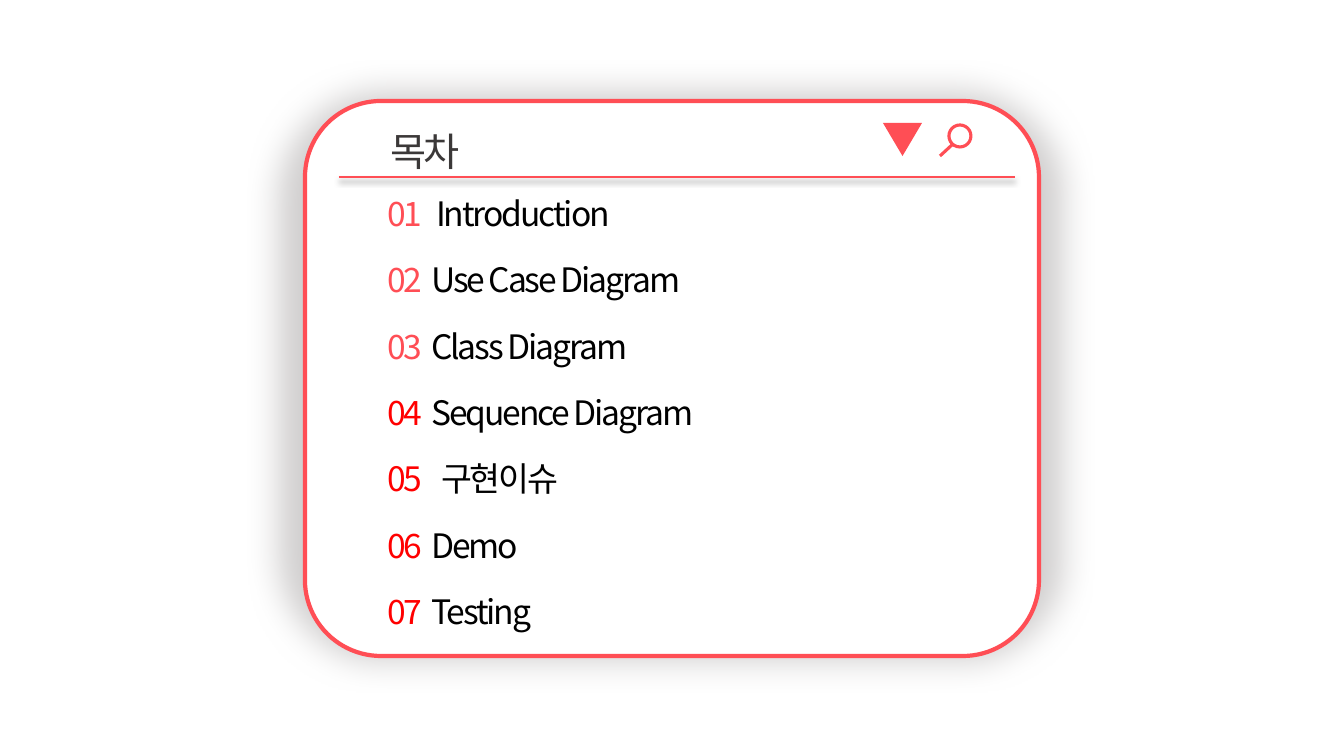
"""Build the contents slide: a soft-edged card with seven numbered sections."""
from lxml import etree
from pptx import Presentation, util as u
from pptx.dml.color import RGBColor
from pptx.enum import shapes, text
from pptx.oxml import parse_xml
from pptx.oxml.ns import qn

PX = 914400 / 100.8
THEME = dict(font="Noto Sans CJK KR", title_size=28, item_size=24, tracking=-150,
             coral="FF4E55", red="FF0000", ink="000000", heading="3B3838",
             paper="FFFFFF", halo="D0CECE")
SECTIONS = [("Introduction", "coral", 49), ("Use Case Diagram", "coral", 44),
            ("Class Diagram", "coral", 44), ("Sequence Diagram", "red", 44),
            ("구현이슈", "red", 54), ("Demo", "red", 44), ("Testing", "red", 44)]
NS = 'xmlns:a="http://schemas.openxmlformats.org/drawingml/2006/main"'
RULE_SHADOW = (f'<a:effectLst {NS}><a:outerShdw blurRad="50800" dist="38100" dir="5400000">'
               '<a:srgbClr val="000000"><a:alpha val="40000"/></a:srgbClr>'
               '</a:outerShdw></a:effectLst>')
NO_EFFECT = f'<a:effectLst {NS}/>'
SOFT_EDGE = f'<a:effectLst {NS}><a:softEdge rad="317500"/></a:effectLst>'


def px(*lengths):
    return [round(length * PX) for length in lengths]


def write(paragraph, words, *, size, color):
    run = paragraph.add_run()
    run.text = words
    run.font.size = u.Pt(size)
    run.font.name = THEME["font"]
    run.font.bold = False
    run.font.color.rgb = RGBColor.from_string(THEME[color])
    properties = run.font._element
    properties.set("spc", str(THEME["tracking"]))
    etree.SubElement(properties, qn("a:ea")).set("typeface", THEME["font"])


deck = Presentation()
deck.slide_width, deck.slide_height = px(1344, 756)
slide = deck.slides.add_slide(deck.slide_layouts[5])

panels = []
for preset, box, fill, weight in [
        (shapes.MSO_SHAPE.ROUNDED_RECTANGLE, (246, 59, 850, 635), "halo", 1),
        (shapes.MSO_SHAPE.ROUNDED_RECTANGLE, (305, 101, 734, 555), "paper", 3),
        (shapes.MSO_SHAPE.OVAL, (949, 125, 22, 22), None, 2.25),
        (shapes.MSO_SHAPE.ISOSCELES_TRIANGLE, (883, 123, 39, 33), "coral", 0)]:
    panel = slide.shapes.add_shape(preset, *px(*box))
    panel.shadow.inherit = False
    if fill:
        panel.fill.solid()
        panel.fill.fore_color.rgb = RGBColor.from_string(THEME[fill])
    else:
        panel.fill.background()
    if weight:
        panel.line.color.rgb = RGBColor.from_string(THEME["coral"])
        panel.line.width = u.Pt(weight)
    else:
        panel.line.fill.background()
    panels.append(panel)
halo, card, lens, arrow = panels
arrow.rotation = 180
card.adjustments[0] = 0.137
halo_effects = halo._element.spPr.find(qn("a:effectLst"))
halo._element.spPr.replace(halo_effects, parse_xml(SOFT_EDGE))

for ends, weight, effect in [((339, 177, 1015, 177), 1.5, RULE_SHADOW),
                             ((953, 144, 940, 156), 2.25, NO_EFFECT)]:
    stroke = slide.shapes.add_connector(shapes.MSO_CONNECTOR.STRAIGHT, *px(*ends))
    stroke.line.color.rgb = RGBColor.from_string(THEME["coral"])
    stroke.line.width = u.Pt(weight)
    stroke._element.spPr.append(parse_xml(effect))

contents = card.text_frame
contents.word_wrap = True
contents.vertical_anchor = text.MSO_ANCHOR.TOP
contents.margin_top, contents.margin_bottom = px(49, 0)
for number, (section, number_color, gap) in enumerate(SECTIONS, 1):
    entry = contents.paragraphs[0] if number == 1 else contents.add_paragraph()
    entry.alignment = text.PP_ALIGN.LEFT
    entry.line_spacing = u.Pt(43.4)
    entry.space_after = u.Pt(4)
    indent, hanging = px(50 + gap, -gap)
    entry._p.get_or_add_pPr().set("marL", str(indent))
    entry._p.get_or_add_pPr().set("indent", str(hanging))
    write(entry, f"{number:02d}\t", size=THEME["item_size"], color=number_color)
    write(entry, section, size=THEME["item_size"], color="ink")

heading = slide.shapes.title
heading.left, heading.top, heading.width, heading.height = px(330, 105, 486, 75)
heading.text_frame.word_wrap = True
heading.text_frame.auto_size = text.MSO_AUTO_SIZE.NONE
heading.text_frame.vertical_anchor = text.MSO_ANCHOR.TOP
title_line = heading.text_frame.paragraphs[0]
title_line.alignment = text.PP_ALIGN.LEFT
title_line.line_spacing = u.Pt(46)
title_line._p.get_or_add_pPr().set("marL", str(px(50)[0]))
write(title_line, "목차", size=THEME["title_size"], color="heading")
slide.shapes._spTree.append(heading._element)

deck.save("out.pptx")
